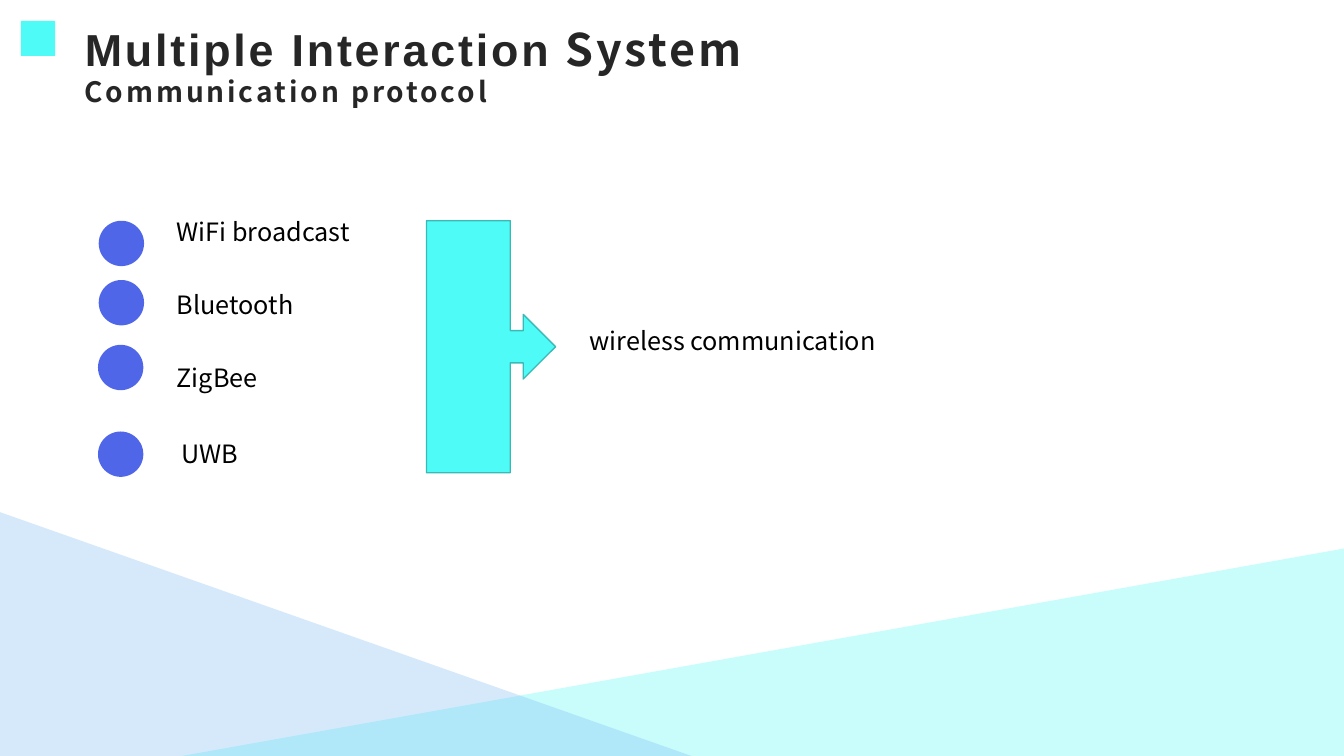
from dataclasses import dataclass

from lxml import etree
from pptx import Presentation
from pptx.dml.color import RGBColor
from pptx.enum.shapes import MSO_SHAPE
from pptx.oxml.ns import qn
from pptx.util import Pt

RECTANGLE = MSO_SHAPE.RECTANGLE
OVAL = MSO_SHAPE.OVAL
RIGHT_TRIANGLE = MSO_SHAPE.RIGHT_TRIANGLE
ARROW_CALLOUT = MSO_SHAPE.RIGHT_ARROW_CALLOUT


@dataclass(frozen=True)
class Theme:
    cyan: str = "4FFBF6"
    cyan_edge: str = "3ABAB6"
    sky: str = "78B9F5"
    indigo: str = "5066E9"
    heading: str = "262626"
    black: str = "000000"
    latin: str = "Arial"
    body: str = "Noto Sans CJK SC"
    title_size: int = 32
    subtitle_size: int = 20
    body_size: int = 18


THEME = Theme()


def add_figure(slide, kind, left, top, width, height, color,
               edge=None, opacity=None, rotation=0):
    figure = slide.shapes.add_shape(kind, Pt(left), Pt(top), Pt(width), Pt(height))
    figure.shadow.inherit = False
    figure.rotation = rotation
    figure.fill.solid()
    figure.fill.fore_color.rgb = RGBColor.from_string(color)
    if opacity is not None:
        fill_color = figure._element.spPr.find(qn("a:solidFill"))[0]
        etree.SubElement(fill_color, qn("a:alpha"), val=str(opacity * 1000))
    if edge:
        figure.line.color.rgb = RGBColor.from_string(edge)
        figure.line.width = Pt(1)
    else:
        figure.line.fill.background()


def add_text_frame(slide, left, top, width, height):
    frame = slide.shapes.add_textbox(Pt(left), Pt(top), Pt(width), Pt(height)).text_frame
    frame.word_wrap = True
    return frame


def write(paragraph, text, font=THEME.body, size=THEME.body_size,
          color=THEME.black, bold=False, spacing=0):
    run = paragraph.add_run()
    run.text = text
    run.font.name = font
    run.font.size = Pt(size)
    run.font.bold = bold
    run.font.color.rgb = RGBColor.from_string(color)
    if spacing:
        run._r.get_or_add_rPr().set("spc", str(spacing * 100))


def add_label(slide, text, left, top, width):
    frame = add_text_frame(slide, left, top, width, 29)
    write(frame.paragraphs[0], text)


def add_heading(slide):
    frame = add_text_frame(slide, 52.6, 10.8, 854.6, 34.6)
    frame.margin_left, frame.margin_top = Pt(8), Pt(7.3)
    heading = frame.paragraphs[0]
    heading.line_spacing = 0.96
    style = dict(color=THEME.heading, bold=True, spacing=2)
    write(heading, "Multiple Interaction", font=THEME.latin, size=THEME.title_size, **style)
    write(heading, " System", size=THEME.title_size, **style)
    heading.add_line_break()
    write(heading, "Communication protocol", size=THEME.subtitle_size, **style)


def main():
    deck = Presentation()
    deck.slide_width, deck.slide_height = Pt(960), Pt(540)
    slide = deck.slides.add_slide(deck.slide_layouts[6])

    # Backdrop triangles and corner mark
    add_figure(slide, RIGHT_TRIANGLE, 470.9, 50.4, 148.3, 830.9, THEME.cyan,
               opacity=30, rotation=270)
    add_figure(slide, RIGHT_TRIANGLE, 0, 365.8, 494, 174.2, THEME.sky, opacity=30)
    add_figure(slide, RECTANGLE, 15, 15, 24.5, 25, THEME.cyan)

    add_heading(slide)

    # Protocols: name, dot left and top, label left, top and width
    protocols = [
        ("WiFi broadcast", 70.5, 157.7, 119.2, 151.2, 324.7),
        ("Bluetooth", 70.5, 200, 119.2, 203, 223.2),
        ("ZigBee", 70, 246.3, 119.2, 255.4, 180.7),
        ("UWB", 70, 308.2, 122.6, 309.6, 174.2),
    ]
    for name, dot_left, dot_top, left, top, width in protocols:
        add_figure(slide, OVAL, dot_left, dot_top, 32.4, 32.4, THEME.indigo)
        add_label(slide, name, left, top, width)

    # What they have in common
    add_figure(slide, ARROW_CALLOUT, 304.6, 157.7, 92.2, 180, THEME.cyan,
               edge=THEME.cyan_edge)
    add_label(slide, "wireless communication", 414, 229, 222.5)

    deck.save("out.pptx")


if __name__ == "__main__":
    main()
